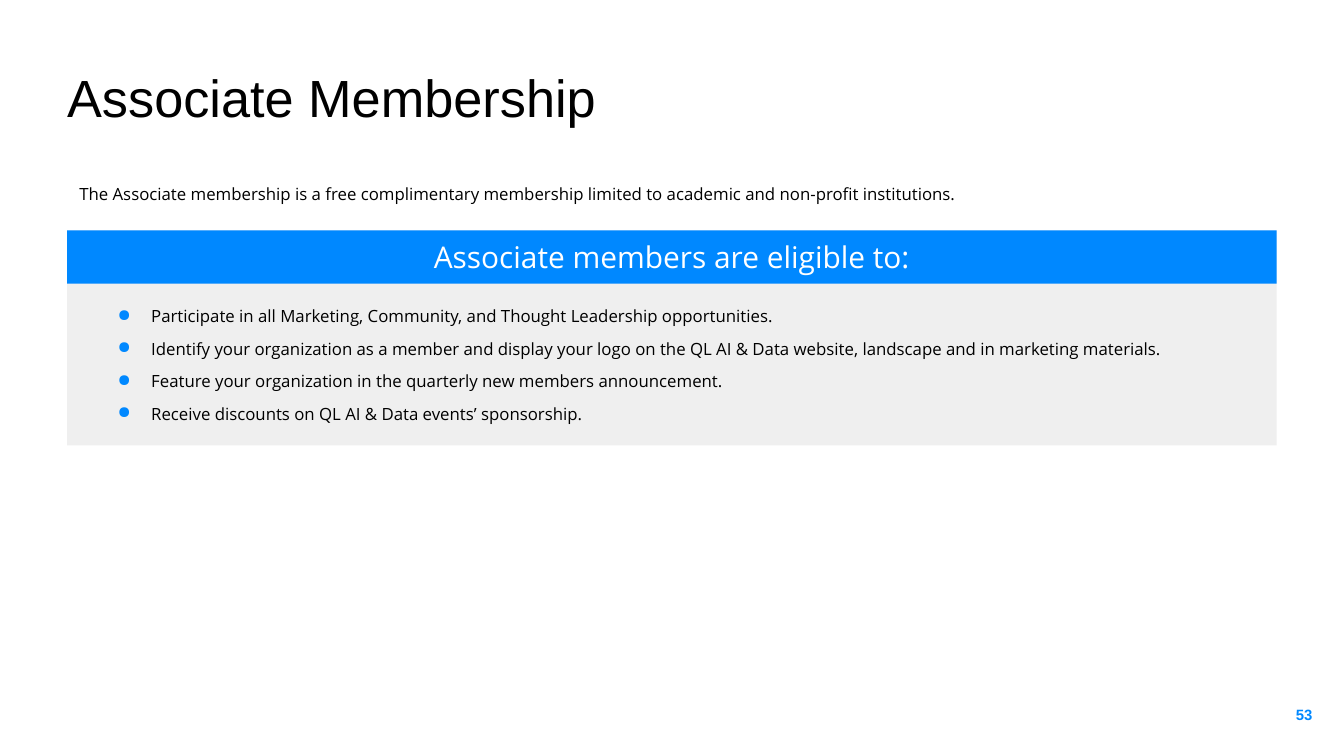
from lxml import etree
from pptx import Presentation
from pptx.dml.color import RGBColor
from pptx.enum.shapes import MSO_SHAPE
from pptx.enum.text import MSO_ANCHOR, PP_ALIGN
from pptx.oxml.ns import qn
from pptx.util import Inches, Pt

RECTANGLE = MSO_SHAPE.RECTANGLE
TOP, MIDDLE = MSO_ANCHOR.TOP, MSO_ANCHOR.MIDDLE
LEFT, CENTER, RIGHT = PP_ALIGN.LEFT, PP_ALIGN.CENTER, PP_ALIGN.RIGHT

COLORS = {"black": "000000", "white": "FFFFFF", "blue": "0088FF", "gray": "EFEFEF"}
BODY_FONT = "Open Sans"
BENEFITS = [
    "Participate in all Marketing, Community, and Thought Leadership opportunities.",
    "Identify your organization as a member and display your logo on the QL AI & Data website, "
    "landscape and in marketing materials.",
    "Feature your organization in the quarterly new members announcement.",
    "Receive discounts on QL AI & Data events’ sponsorship.",
]


def color(name):
    return RGBColor.from_string(COLORS[name])


def add_panel(page, left, top, width, height, fill):
    panel = page.shapes.add_shape(
        RECTANGLE, Inches(left), Inches(top), Inches(width), Inches(height))
    panel.shadow.inherit = False
    panel.fill.solid()
    panel.fill.fore_color.rgb = color(fill)
    panel.line.fill.background()
    return panel


def add_text_box(page, left, top, width, height):
    return page.shapes.add_textbox(
        Inches(left), Inches(top), Inches(width), Inches(height))


def add_bullet(para):
    """Give a paragraph a blue dot with a hanging indent."""
    properties = para._p.get_or_add_pPr()
    properties.set("marL", str(Inches(0.75)))
    properties.set("indent", str(Inches(-0.5)))
    bullet_color = etree.SubElement(properties, qn("a:buClr"))
    etree.SubElement(bullet_color, qn("a:srgbClr"), val=COLORS["blue"])
    etree.SubElement(properties, qn("a:buChar"), char="●")


def write_text(box, lines, size=18, font=BODY_FONT, fill="black", bold=False,
               align=LEFT, anchor=TOP, inset=(0, 0), line_spacing=None,
               bullets=False, gap=0):
    """Fill a box with one paragraph per line; inset is (sides, top and bottom)."""
    frame = box.text_frame
    frame.word_wrap = True
    frame.vertical_anchor = anchor
    frame.margin_left = frame.margin_right = Inches(inset[0])
    frame.margin_top = frame.margin_bottom = Inches(inset[1])
    for index, line in enumerate(lines):
        para = frame.add_paragraph() if index else frame.paragraphs[0]
        if bullets:
            add_bullet(para)
        para.alignment = align
        para.line_spacing = line_spacing
        if index:
            para.space_before = Pt(gap)
        span = para.add_run()
        span.text = line
        span.font.size = Pt(size)
        span.font.name = font
        span.font.bold = bold
        span.font.color.rgb = color(fill)


def main():
    deck = Presentation()
    deck.slide_width, deck.slide_height = Inches(20), Inches(11.25)
    page = deck.slides.add_slide(deck.slide_layouts[6])

    title = add_text_box(page, 1, 0.97, 18.64, 1.25)
    write_text(title, ["Associate Membership"], size=56, font="Arial")

    page_number = add_text_box(page, 18.53, 10.2, 1.2, 0.86)
    write_text(page_number, ["53"], size=16, font="Arial", fill="blue", bold=True,
               align=RIGHT, anchor=MIDDLE, inset=(0.2, 0.2))

    intro = add_text_box(page, 1.03, 2.62, 17.94, 0.96)
    write_text(intro, ["The Associate membership is a free complimentary membership "
                       "limited to academic and non-profit institutions."],
               inset=(0.15, 0.07), line_spacing=1.15)

    add_panel(page, 1, 3.43, 18, 3.2, "gray")
    benefits = add_text_box(page, 1.3, 4.41, 16.84, 2.16)
    write_text(benefits, BENEFITS, inset=(0.2, 0.1), line_spacing=1.15,
               bullets=True, gap=10)

    header = add_panel(page, 1, 3.43, 18, 0.79, "blue")
    write_text(header, ["Associate members are eligible to:"], size=32, fill="white",
               align=CENTER, anchor=MIDDLE, inset=(0.2, 0.2))

    deck.save("out.pptx")


if __name__ == "__main__":
    main()
